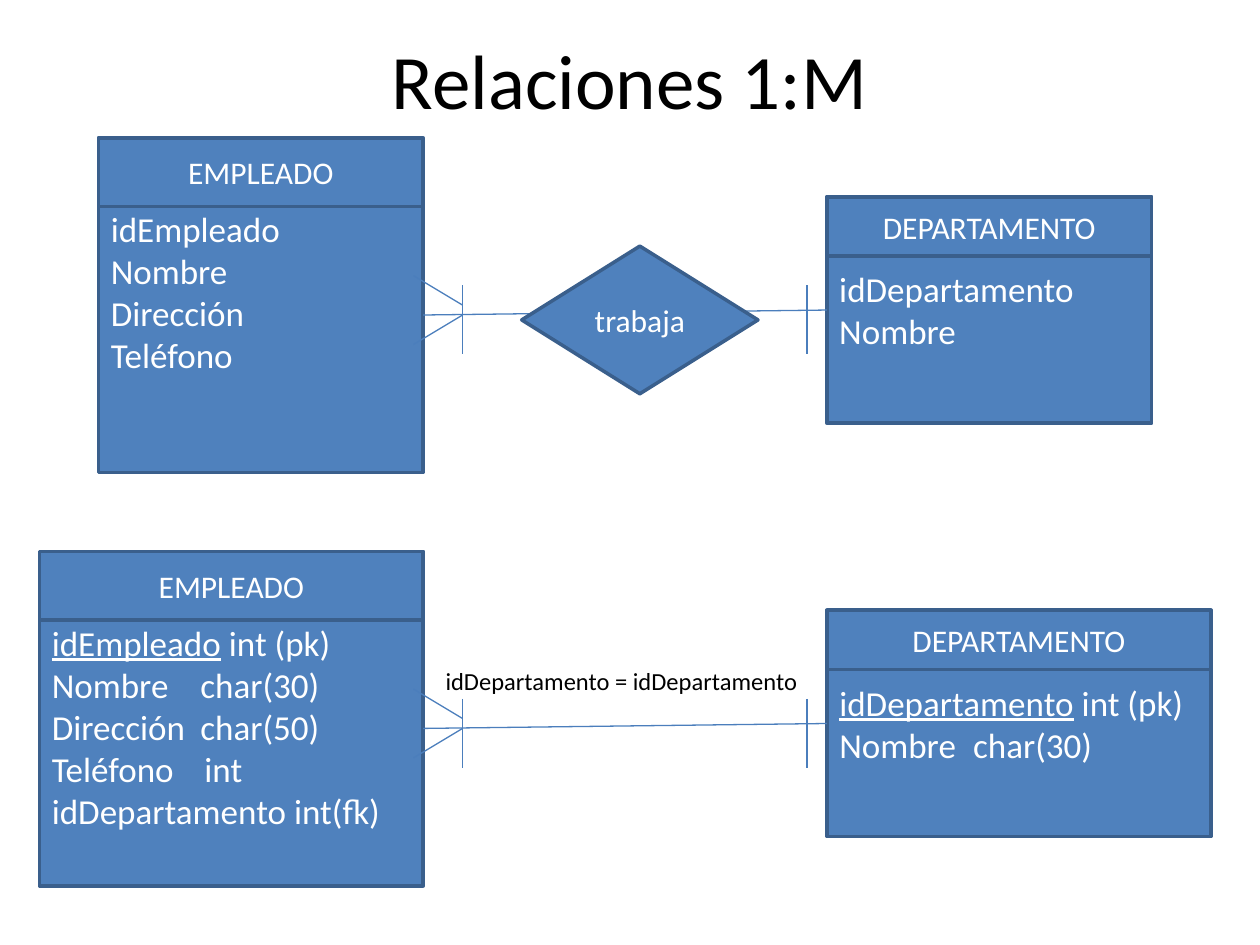
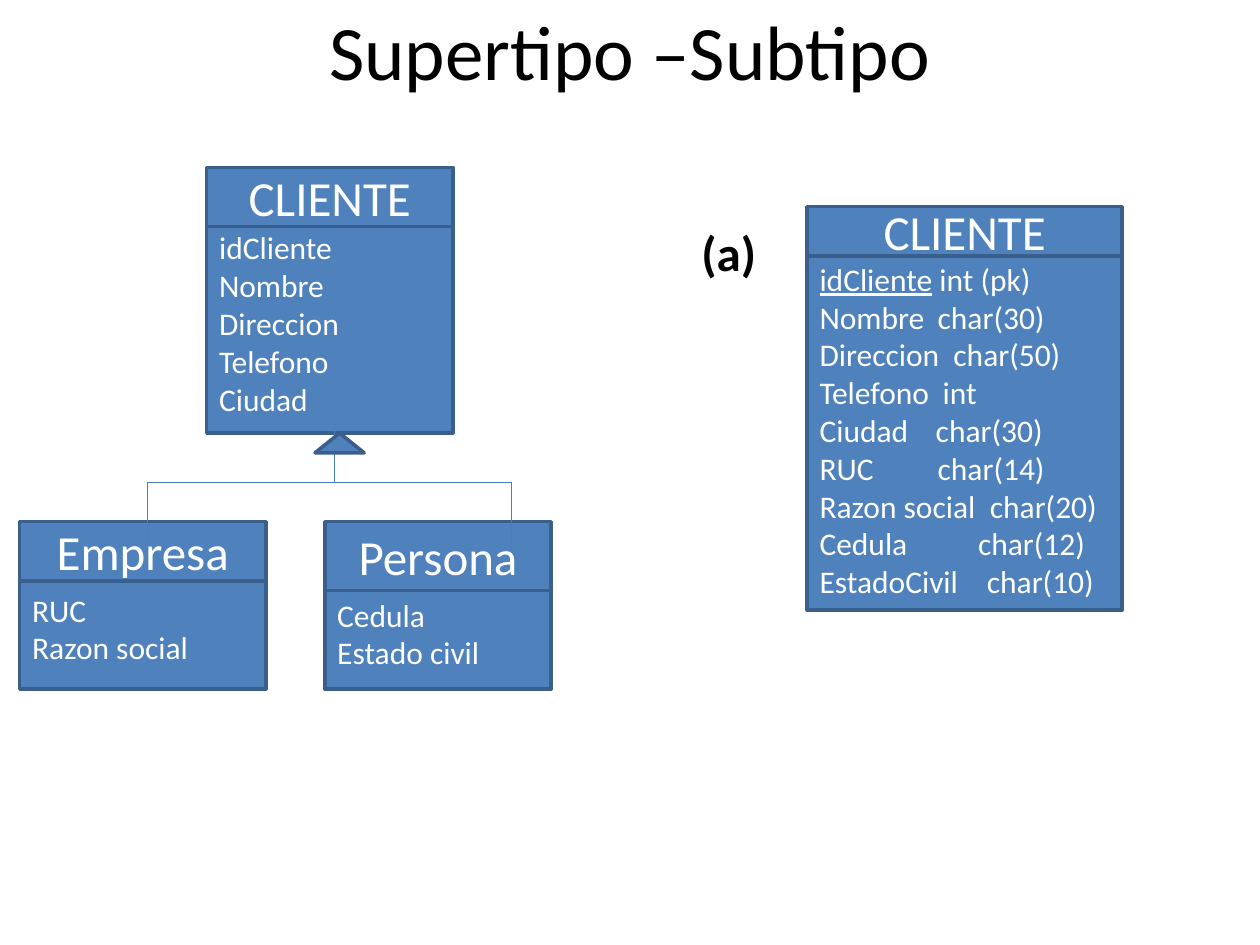
"""Draw two slides of entity diagrams on a grid of 128 columns by 96 rows."""
import dataclasses
import typing

import pptx
import pptx.dml.color
import pptx.enum.shapes
import pptx.enum.text
import pptx.oxml.ns
import pptx.util
from lxml import etree

RGBColor = pptx.dml.color.RGBColor
Shape = pptx.enum.shapes.MSO_SHAPE
Align = pptx.enum.text.PP_ALIGN
Anchor = pptx.enum.text.MSO_ANCHOR

FILL = RGBColor(0x4F, 0x81, 0xBD)
EDGE = RGBColor(0x3A, 0x5F, 0x8C)
LINK = RGBColor(0x4B, 0x7E, 0xBC)
WHITE = RGBColor(0xFF, 0xFF, 0xFF)
BLACK = RGBColor(0x00, 0x00, 0x00)

WIDE = pptx.util.Inches(10)
HIGH = pptx.util.Inches(7.5)
COLS = 128
SHIFT = 42

Span = tuple[float, float, float, float]


@dataclasses.dataclass(frozen=True)
class Field:
    """One line of an entity; stop is the tab column of its kind."""
    name: str
    kind: str = ""
    stop: float = 0
    key: bool = False


@dataclasses.dataclass(frozen=True)
class Table:
    """An entity with a head and a body; inset is the drop to its fields."""
    title: str
    left: float
    width: float
    top: float
    head: float
    start: float
    height: float
    inset: float
    fields: tuple[Field, ...]
    size: int = 18
    caps: int = 28


def unit(count: float) -> int:
    """Turn grid units into a length."""
    return round(WIDE * count / COLS)


def apply(item: typing.Any, form: dict[str, typing.Any]) -> None:
    """Set each format value on an item."""
    for name, value in form.items():
        setattr(item, name, value)


def write(para: typing.Any, text: str, size: int, color: RGBColor, **more: bool) -> None:
    """Add a run to a paragraph."""
    run = para.add_run()
    run.text = text
    apply(run.font, {"name": "Calibri", "size": pptx.util.Pt(size), **more})
    run.font.color.rgb = color


def label(slide: typing.Any, span: Span, text: str, size: int,
          align: Align = Align.LEFT, anchor: Anchor = Anchor.TOP, **more: bool) -> None:
    """Draw black text with no frame."""
    frame = slide.shapes.add_textbox(*map(unit, span)).text_frame
    apply(frame, {"word_wrap": True, "vertical_anchor": anchor})
    frame.paragraphs[0].alignment = align
    write(frame.paragraphs[0], text, size, BLACK, **more)


def block(slide: typing.Any, span: Span, text: str = "", size: int = 18,
          kind: Shape = Shape.RECTANGLE) -> typing.Any:
    """Draw a blue shape with centred text and return its frame."""
    shape = slide.shapes.add_shape(kind, *map(unit, span))
    shape.shadow.inherit = False
    shape.fill.solid()
    shape.fill.fore_color.rgb = FILL
    shape.line.color.rgb = EDGE
    shape.line.width = pptx.util.Pt(2)
    frame = shape.text_frame
    apply(frame, {"word_wrap": True, "vertical_anchor": Anchor.MIDDLE})
    if text:
        frame.paragraphs[0].alignment = Align.CENTER
        write(frame.paragraphs[0], text, size, WHITE)
    return frame


def tab(para: typing.Any, stop: float) -> None:
    """Give a paragraph one left tab stop."""
    stops = etree.SubElement(para._p.get_or_add_pPr(), pptx.oxml.ns.qn("a:tabLst"))
    etree.SubElement(stops, pptx.oxml.ns.qn("a:tab"), pos=str(unit(stop)), algn="l")


def entity(slide: typing.Any, item: Table) -> None:
    """Draw an entity: its body, then its head on top."""
    frame = block(slide, (item.left, item.start, item.width, item.height))
    apply(frame, {"vertical_anchor": Anchor.TOP, "margin_top": unit(item.inset),
                  "margin_bottom": 0})
    for place, field in enumerate(item.fields):
        para = frame.add_paragraph() if place else frame.paragraphs[0]
        para.alignment = Align.LEFT
        if field.stop:
            tab(para, field.stop)
        write(para, field.name, item.size, WHITE, underline=field.key)
        if field.kind:
            gap = "\t" if field.stop else " "
            write(para, gap + field.kind, item.size, WHITE)
    block(slide, (item.left, item.top, item.width, item.head), item.title, item.caps)


def link(slide: typing.Any, span: Span) -> None:
    """Draw a thin line between two grid points."""
    line = slide.shapes.add_connector(
        pptx.enum.shapes.MSO_CONNECTOR.STRAIGHT, *map(unit, span))
    line.line.color.rgb = LINK
    line.line.width = pptx.util.Pt(0.75)
    etree.SubElement(line._element.spPr, pptx.oxml.ns.qn("a:effectLst"))


def staff(left: float, width: float, drop: float, *fields: Field) -> Table:
    """Make the employee entity at a given drop."""
    return Table("EMPLEADO", left, width, 14 + drop, 7, 16 + drop, 32, 5.1,
                 fields, size=20, caps=18)


def office(width: float, drop: float, *fields: Field) -> Table:
    """Make the department entity at a given drop."""
    return Table("DEPARTAMENTO", 84, width, 20 + drop, 6, 20 + drop, 23, 7.2,
                 fields, size=20, caps=18)


def page(deck: typing.Any, title: str, top: float) -> typing.Any:
    """Add a blank slide with its title."""
    slide = deck.slides.add_slide(deck.slide_layouts[6])
    label(slide, (6.4, top, 115.2, 16), title, 44, Align.CENTER, Anchor.MIDDLE)
    return slide


MODELS = (
    staff(4, 39, SHIFT,
          Field("idEmpleado", "int (pk)", key=True),
          Field("Nombre", "char(30)", 15.1),
          Field("Dirección", "char(50)", 15.1),
          Field("Teléfono", "int", 15.5),
          Field("idDepartamento", "int(fk)")),
    office(39, SHIFT,
           Field("idDepartamento", "int (pk)", key=True),
           Field("Nombre", "char(30)", 13.6)),
    staff(10, 33, 0, *map(Field, ("idEmpleado", "Nombre", "Dirección", "Teléfono"))),
    office(33, 0, *map(Field, ("idDepartamento", "Nombre"))),
)

CROW = (
    (43, 32, 84, 31.5),
    (47, 29, 47, 36),
    (42, 28, 47, 31),
    (47, 32, 42, 35),
    (82, 29, 82, 36),
)

TYPES = (
    Table("CLIENTE", 21, 25, 17, 6, 18, 26, 5.2,
          tuple(map(Field, ("idCliente", "Nombre", "Direccion", "Telefono", "Ciudad")))),
    Table("Empresa", 2, 25, 53, 6, 54, 16, 6,
          tuple(map(Field, ("RUC", "Razon social")))),
    Table("Persona", 33, 23, 53, 7, 55, 15, 5.5,
          tuple(map(Field, ("Cedula", "Estado civil")))),
    Table("CLIENTE", 82, 32, 21, 5, 22, 40, 4.4, (
        Field("idCliente", "int (pk)", key=True),
        Field("Nombre", "char(30)", 12),
        Field("Direccion", "char(50)", 13.6),
        Field("Telefono", "int", 12.5),
        Field("Ciudad", "char(30)", 11.8),
        Field("RUC", "char(14)", 12),
        Field("Razon social", "char(20)", 17.3),
        Field("Cedula", "char(12)", 16.1),
        Field("EstadoCivil", "char(10)", 17))),
)

TREE = (
    (34, 43, 34, 49),
    (34, 49, 15, 49),
    (15, 49, 15, 56),
    (52, 49, 34, 49),
    (52, 49, 52, 56),
)


def main() -> None:
    """Build and save both slides."""
    deck = pptx.Presentation()
    apply(deck, {"slide_width": WIDE, "slide_height": HIGH})

    slide = page(deck, "Relaciones 1:M", 0)
    for item in MODELS:
        entity(slide, item)
    for drop in (SHIFT, 0):
        for x, y, end, low in CROW:
            link(slide, (x, y + drop, end, low + drop))
    label(slide, (44, 67, 52, 4.3), "idDepartamento = idDepartamento", 14)
    block(slide, (53, 25, 24, 15), "trabaja", kind=Shape.DIAMOND)

    slide = page(deck, "Supertipo –Subtipo", -3)
    for item in TYPES:
        entity(slide, item)
    for span in TREE:
        link(slide, span)
    block(slide, (32, 44, 5, 2), kind=Shape.ISOSCELES_TRIANGLE)
    label(slide, (70, 22, 12, 7.3), "(a)", 28, bold=True)

    deck.save("out.pptx")


if __name__ == "__main__":
    main()
